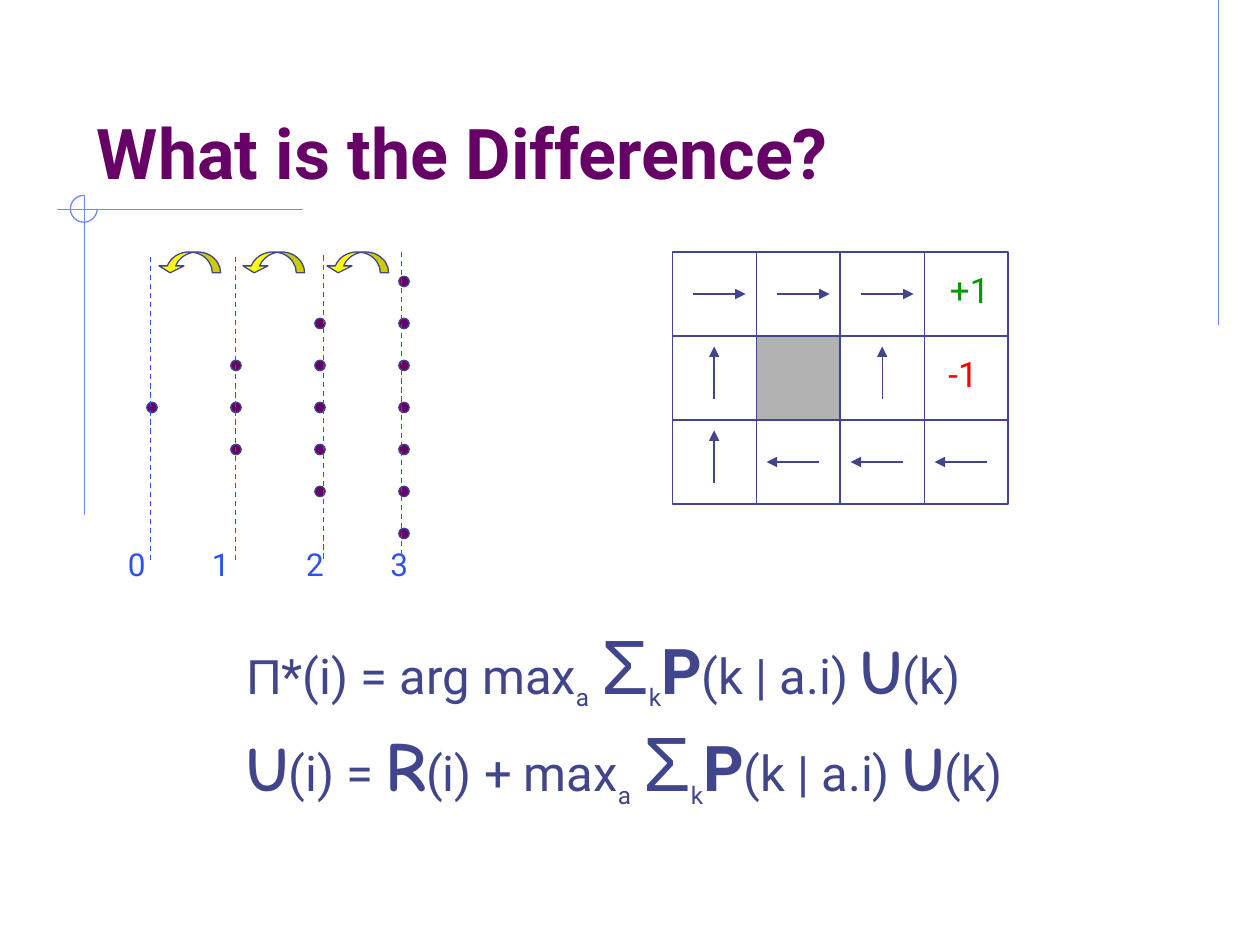
from lxml import etree
from pptx import Presentation
from pptx import util as u
from pptx.dml.color import RGBColor
from pptx.enum import dml, shapes, text
from pptx.oxml.ns import qn

Cm, Pt = u.Cm, u.Pt
INK, BLUE, PALE_BLUE, PURPLE = "40458C", "2B51F3", "6F89F7", "660066"

presentation = Presentation()
presentation.slide_width, presentation.slide_height = Cm(25.4), Cm(19.05)
slide = presentation.slides.add_slide(presentation.slide_layouts[5])


def paint(item, line, fill=None):
    """Outline a shape or connector, fill a shape, and drop its shadow."""
    item.line.color.rgb = RGBColor.from_string(line)
    item.line.width = Pt(0.75)
    if hasattr(item, "fill"):
        item.shadow.inherit = False
        if fill:
            item.fill.solid()
            item.fill.fore_color.rgb = RGBColor.from_string(fill)
        else:
            item.fill.background()
    else:
        etree.SubElement(item._element.spPr, qn("a:effectLst"))
    return item


def add_run(paragraph, words, size, color, font="Roboto", bold=False):
    run = paragraph.add_run()
    run.text = words
    run.font.name, run.font.size, run.font.bold = font, Pt(size), bold
    run.font.color.rgb = RGBColor.from_string(color)
    return run


# Corner ornaments
for x1, y1, x2, y2 in [(24.56, 0, 24.56, 6.55), (6.1, 4.22, 1.14, 4.22), (1.7, 3.94, 1.7, 10.39)]:
    paint(slide.shapes.add_connector(
        shapes.MSO_CONNECTOR.STRAIGHT, Cm(x1), Cm(y1), Cm(x2), Cm(y2)), PALE_BLUE)
arc = paint(slide.shapes.add_shape(
    shapes.MSO_SHAPE.ARC, Cm(1.42), Cm(3.94), Cm(0.54), Cm(0.54)), PALE_BLUE)
arc.adjustments[0] = 0
arc.adjustments[1] = 162  # 270 degrees

# Title
title = slide.shapes.title
title.left, title.top, title.width, title.height = Cm(1.7), Cm(0.84), Cm(21.59), Cm(3.18)
title.text_frame.auto_size = text.MSO_AUTO_SIZE.NONE
title.text_frame.vertical_anchor = text.MSO_ANCHOR.BOTTOM
paragraph = title.text_frame.paragraphs[0]
paragraph.alignment = text.PP_ALIGN.LEFT
add_run(paragraph, "What is the Difference?", 40, PURPLE, bold=True)

# Equations: each style gives size, font, bold, subscript
styles = {
    "plain": (28, "Roboto", False, False),
    "greek": (28, "Arial", False, False),
    "sum": (44, "Arial", False, False),
    "sub": (24, "Roboto", False, True),
    "prob": (36, "Roboto", True, False),
    "utility": (36, "Comic Neue", True, False),
    "reward": (40, "Comic Neue", True, False),
}
expectation = [("a", "sub"), (" ", "plain"), ("Σ", "sum"), ("k", "sub"), ("P", "prob"),
               ("(k | a.i) ", "plain"), ("U", "utility"), ("(k)", "plain")]
equations = [
    [("Π", "greek"), ("*(i) = arg max", "plain")] + expectation,
    [("U", "utility"), ("(i) = ", "plain"), ("R", "reward"), ("(i) + max", "plain")] + expectation,
]
box = slide.shapes.add_textbox(Cm(4.72), Cm(12.5), Cm(16.33), Cm(5.13))
box.text_frame.word_wrap = False
for number, equation in enumerate(equations):
    paragraph = box.text_frame.add_paragraph() if number else box.text_frame.paragraphs[0]
    paragraph.line_spacing = 0.9
    if number:
        paragraph.space_before = Pt(7)
    for words, style in equation:
        size, font, bold, subscript = styles[style]
        run = add_run(paragraph, words, size, INK, font, bold)
        if subscript:
            run.font._element.set("baseline", "-30000")

# Search tree: each step adds two states, spread around the middle row
cell = 25.4 / 15
dot = 0.21
for step in range(4):
    for row in range(-step, step + 1):
        paint(slide.shapes.add_shape(
            shapes.MSO_SHAPE.OVAL, Cm(2.96 + step * cell), Cm(8.11 + row * cell / 2),
            Cm(dot), Cm(dot)), INK, PURPLE)

for x, top in [(3.03, 5.18), (4.75, 5.18), (6.52, 5.15), (8.1, 5.08)]:
    stage = paint(slide.shapes.add_connector(
        shapes.MSO_CONNECTOR.STRAIGHT, Cm(x), Cm(top), Cm(x), Cm(top + 6.14)), BLUE)
    stage.line.dash_style = dml.MSO_LINE.DASH

for step in range(3):
    backup = paint(slide.shapes.add_shape(
        shapes.MSO_SHAPE.CURVED_DOWN_ARROW, Cm(3.18 + step * cell), Cm(5.08),
        Cm(1.27), Cm(0.42)), INK, "FFFF00")
    for index, value in enumerate([0.4, 1.2, 0.33]):
        backup.adjustments[index] = value
    backup._element.spPr.get_or_add_xfrm().set("flipH", "1")

# Grid world
left, top, columns, rows = 13.55, 5.08, 4, 3
right, bottom = left + columns * cell, top + rows * cell
frame = paint(slide.shapes.add_shape(
    shapes.MSO_SHAPE.RECTANGLE, Cm(left), Cm(top), Cm(columns * cell), Cm(rows * cell)), INK)
for column in range(1, columns):
    x = left + column * cell
    divider = paint(slide.shapes.add_connector(
        shapes.MSO_CONNECTOR.STRAIGHT, Cm(x), Cm(top), Cm(x), Cm(bottom)), INK)
    if column * 2 == columns:
        divider.begin_connect(frame, 0)
        divider.end_connect(frame, 2)
for row in range(1, rows):
    y = top + row * cell
    paint(slide.shapes.add_connector(
        shapes.MSO_CONNECTOR.STRAIGHT, Cm(left), Cm(y), Cm(right), Cm(y)), INK)
paint(slide.shapes.add_shape(
    shapes.MSO_SHAPE.RECTANGLE, Cm(left + cell), Cm(top + cell), Cm(cell), Cm(cell)), INK, "B2B2B2")

# Policy arrows: column, row, direction
RIGHT, LEFT, UP = (1, 0), (-1, 0), (0, -1)
policy = [(0, 0, RIGHT), (1, 0, RIGHT), (2, 0, RIGHT), (0, 1, UP), (2, 1, UP),
          (0, 2, UP), (1, 2, LEFT), (2, 2, LEFT), (3, 2, LEFT)]
for column, row, (dx, dy) in policy:
    x, y = left + (column + 0.5) * cell, top + (row + 0.5) * cell
    back, ahead = cell / 4, cell * 0.375
    arrow = paint(slide.shapes.add_connector(
        shapes.MSO_CONNECTOR.STRAIGHT, Cm(x - dx * back), Cm(y - dy * back),
        Cm(x + dx * ahead), Cm(y + dy * ahead)), INK)
    etree.SubElement(arrow.line._get_or_add_ln(), qn("a:tailEnd"), type="triangle")

# Step numbers and rewards
labels = [("0", 2.33, 10.87, 0.87, 18, BLUE), ("1", 4.02, 10.87, 0.87, 18, BLUE),
          ("2", 5.92, 10.87, 0.87, 18, BLUE), ("3", 7.62, 10.87, 0.87, 18, BLUE),
          ("-1", 18.87, 6.99, 1.14, 20, "FF0000"), ("+1", 18.9, 5.28, 1.32, 20, "009900")]
for words, x, y, width, size, color in labels:
    box = slide.shapes.add_textbox(Cm(x), Cm(y), Cm(width), Cm(size * 0.056))
    box.text_frame.word_wrap = False
    add_run(box.text_frame.paragraphs[0], words, size, color)

presentation.save("out.pptx")
